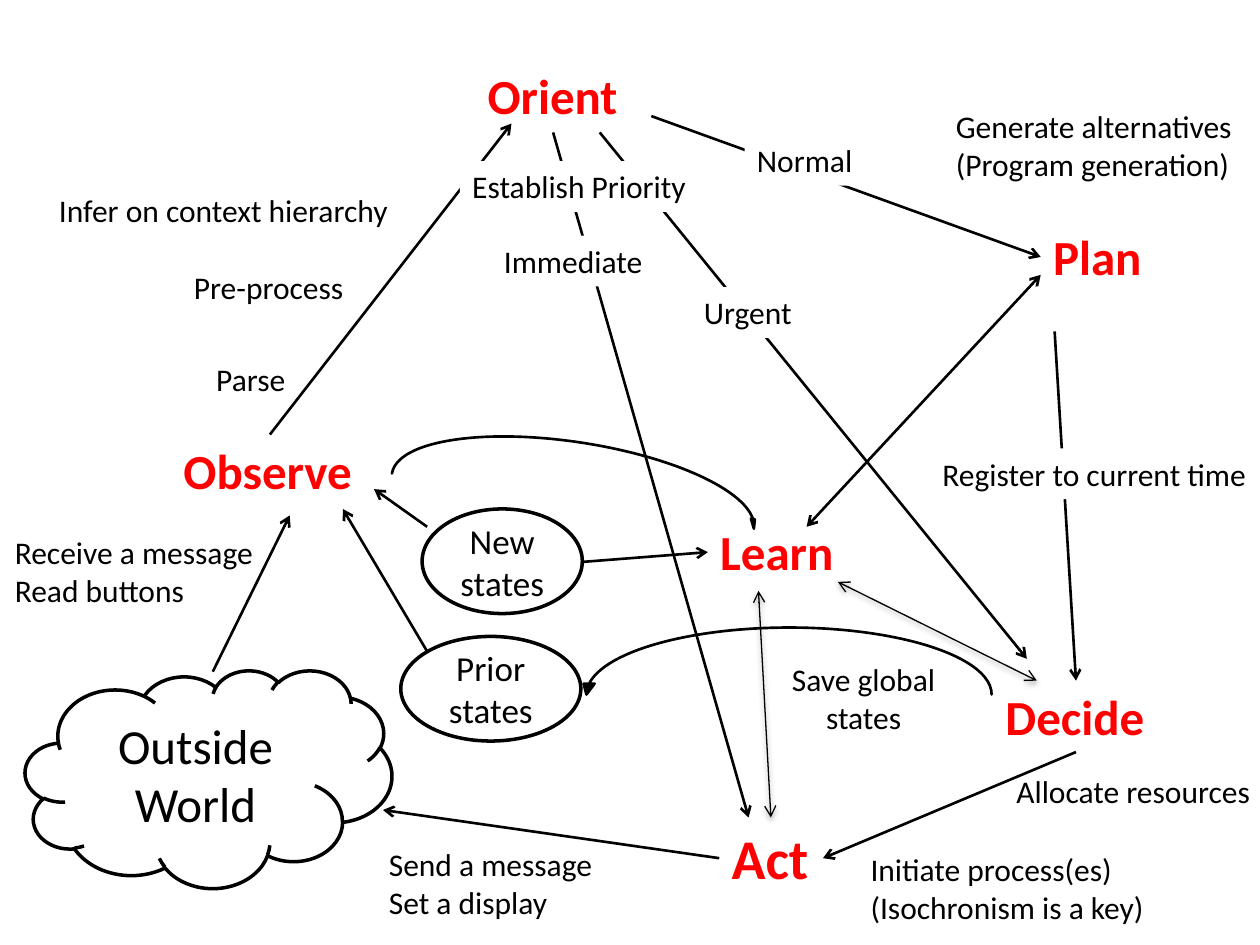
"""Draw a decision cycle, from Observe to Act, as a labelled diagram."""
from dataclasses import dataclass

from lxml import etree
from pptx import Presentation
from pptx.dml.color import RGBColor
from pptx.enum.shapes import MSO_CONNECTOR, MSO_SHAPE
from pptx.enum.text import MSO_ANCHOR, MSO_AUTO_SIZE, PP_ALIGN
from pptx.oxml.ns import qn
from pptx.util import Cm, Pt

CLOUD, OVAL, CURVE = MSO_SHAPE.CLOUD, MSO_SHAPE.OVAL, MSO_SHAPE.CURVED_UP_ARROW
STRAIGHT = MSO_CONNECTOR.STRAIGHT
LEFT, CENTER = PP_ALIGN.LEFT, PP_ALIGN.CENTER
MIDDLE, TOP = MSO_ANCHOR.MIDDLE, MSO_ANCHOR.TOP
GROW = MSO_AUTO_SIZE.SHAPE_TO_FIT_TEXT


@dataclass(frozen=True)
class Theme:
    """Hold the colours, font, type sizes and line widths."""
    ink: RGBColor = RGBColor(0, 0, 0)
    step: RGBColor = RGBColor(255, 0, 0)
    paper: RGBColor = RGBColor(255, 255, 255)
    font: str = "Calibri"
    note: int = 18
    state: int = 20
    head: int = 28
    large: int = 32
    thin: float = 0.75
    line: float = 1.5
    edge: float = 2


THEME = Theme()

STEPS = [
    ("Orient", 9.58, 1.19, 3.15, THEME.head),
    ("Observe", 3.45, 8.76, 3.94, THEME.head),
    ("Plan", 20.98, 4.45, 2.31, THEME.head),
    ("Learn", 14.27, 10.39, 2.82, THEME.head),
    ("Decide", 20.02, 13.72, 3.35, THEME.head),
    ("Act", 14.5, 16.48, 2.08, THEME.large),
]
NOTES = [
    ("Infer on context hierarchy", 0.94, 3.73, 7.21, LEFT),
    ("Pre-process", 3.66, 5.28, 3.56, LEFT),
    ("Parse", 4.11, 7.14, 1.91, LEFT),
    ("Receive a message\nRead buttons", 0.05, 10.62, 5.36, LEFT),
    ("Generate alternatives\n(Program generation)", 19.02, 2.03, 6.15, LEFT),
    ("Save global\nstates", 15.62, 13.18, 3.58, CENTER),
    ("Allocate resources", 20.24, 15.44, 5.28, LEFT),
    ("Send a message\nSet a display", 7.59, 16.92, 4.67, LEFT),
    ("Initiate process(es)\n(Isochronism is a key)", 17.3, 17.02, 6.07, LEFT),
]
TAGS = [
    ("Immediate", 9.91, 4.75, 3.33),
    ("Establish Priority", 9.27, 3.25, 4.85),
    ("Urgent", 13.94, 5.79, 2.31),
    ("Normal", 15.01, 2.72, 2.46),
    ("Register to current time", 18.75, 9.04, 6.71),
]
NODES = [
    (CLOUD, "Outside World", (0.51, 13.51, 7.39, 4.39), THEME.head),
    (OVAL, "Prior\nstates", (8.08, 12.83, 3.63, 2.11), THEME.state),
    (OVAL, "New\nstates", (8.51, 10.26, 3.23, 2.11), THEME.state),
]
FLOWS = [
    (4.29, 13.54, 5.84, 10.39),
    (8.61, 13.13, 6.91, 10.26),
    (8.61, 10.62, 7.54, 9.86),
    (14.5, 17.3, 7.72, 16.33),
    (21.69, 15.16, 16.59, 17.3),
    (5.44, 8.76, 10.31, 2.49),
    (11.15, 2.67, 15.09, 16.48),
    (12.09, 2.67, 20.7, 13.28),
    (13.13, 2.34, 20.98, 5.18),
    (21.26, 6.68, 21.69, 13.72),
    (11.71, 11.33, 14.27, 11.13),
]
SWAP = (20.98, 5.54, 16.26, 10.62)
SAVES = [(16.89, 11.73, 20.9, 13.72), (15.29, 11.91, 15.54, 16.48)]


def write(frame, text, size, color=THEME.ink, bold=False, align=LEFT,
          anchor=TOP, wrap=False):
    """Fill a text frame with formatted paragraphs."""
    frame.text = text
    frame.word_wrap = wrap
    frame.vertical_anchor = anchor
    for para in frame.paragraphs:
        para.alignment = align
        font = para.font
        font.name, font.size, font.bold = THEME.font, Pt(size), bold
        font.color.rgb = color


def label(slide, text, left, top, width, size=THEME.note, fill=None, **style):
    """Add a text box that fits its lines, with an optional fill."""
    rows = text.count("\n") + 1
    height = 0.25 + rows * size * 0.043
    box = slide.shapes.add_textbox(Cm(left), Cm(top), Cm(width), Cm(height))
    write(box.text_frame, text, size, **style)
    box.text_frame.auto_size = GROW
    if fill is not None:
        box.fill.solid()
        box.fill.fore_color.rgb = fill


def outline(slide, kind, box, width):
    """Add a preset shape with a black edge and no shadow."""
    shape = slide.shapes.add_shape(kind, *map(Cm, box))
    shape.shadow.inherit = False
    shape.line.color.rgb = THEME.ink
    shape.line.width = Pt(width)
    return shape


def node(slide, kind, text, box, size):
    """Add an unfilled shape with centred text."""
    shape = outline(slide, kind, box, THEME.edge)
    shape.fill.background()
    write(shape.text_frame, text, size, align=CENTER, anchor=MIDDLE, wrap=True)


def curve(slide, box, turn, bend, flip=False):
    """Add a thin curved arrow."""
    shape = outline(slide, CURVE, box, THEME.line)
    shape.fill.solid()
    shape.fill.fore_color.rgb = THEME.ink
    shape.rotation = turn
    for spot, value in enumerate((0, bend, 0.162)):
        shape.adjustments[spot] = value
    if flip:
        shape.element.spPr.find(qn("a:xfrm")).set("flipH", "1")


def arrow(slide, ends, width=THEME.line, both=False, shade=False):
    """Add a straight arrow with one or two heads."""
    link = slide.shapes.add_connector(STRAIGHT, *map(Cm, ends))
    link.line.color.rgb = THEME.ink
    link.line.width = Pt(width)
    props = link.element.spPr
    edge = props.find(qn("a:ln"))
    for tip in ("a:headEnd", "a:tailEnd") if both else ("a:tailEnd",):
        etree.SubElement(edge, qn(tip), type="arrow")
    effect = etree.SubElement(props, qn("a:effectLst"))
    if shade:
        cast = etree.SubElement(effect, qn("a:outerShdw"), blurRad="40000",
                                dist="20000", dir="5400000", rotWithShape="0")
        tint = etree.SubElement(cast, qn("a:srgbClr"), val=str(THEME.ink))
        etree.SubElement(tint, qn("a:alpha"), val="38000")


def main():
    """Build the slide and save it."""
    deck = Presentation()
    deck.slide_width, deck.slide_height = Cm(25.4), Cm(19.05)
    slide = deck.slides.add_slide(deck.slide_layouts[6])
    for item in NODES:
        node(slide, *item)
    for ends in FLOWS:
        arrow(slide, ends)
    arrow(slide, SWAP, both=True)
    for ends in SAVES:
        arrow(slide, ends, width=THEME.thin, both=True, shade=True)
    curve(slide, (7.95, 8.92, 7.42, 1.19), 188.7, 0.068, flip=True)
    curve(slide, (11.71, 12.65, 8.28, 1.35), 180, 0.165)
    for *spot, size in STEPS:
        label(slide, *spot, size=size, color=THEME.step, bold=True)
    for *spot, align in NOTES:
        label(slide, *spot, align=align)
    for spot in TAGS:
        label(slide, *spot, fill=THEME.paper)
    deck.save("out.pptx")


if __name__ == "__main__":
    main()
